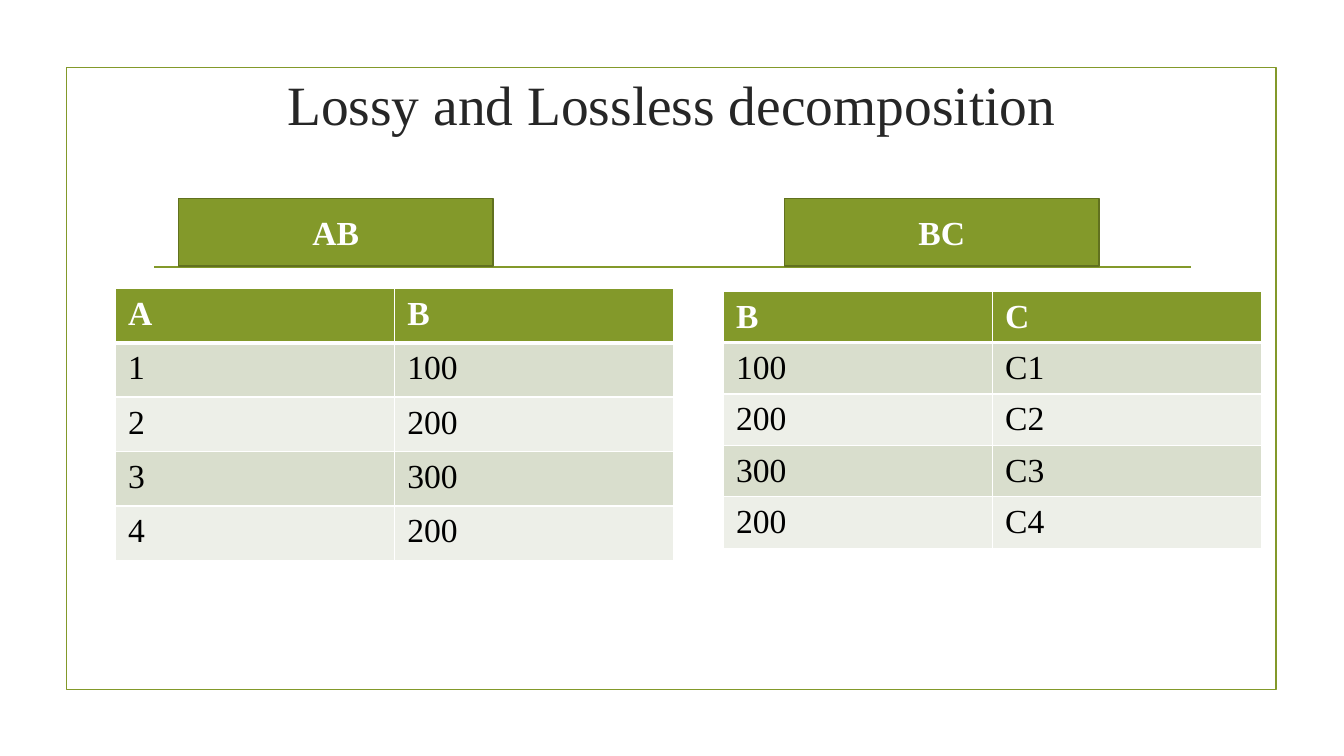
"""Build the slide on lossy and lossless decomposition."""
from dataclasses import dataclass

from lxml.etree import SubElement
from pptx import Presentation
from pptx.dml.color import RGBColor
from pptx.enum.shapes import MSO_CONNECTOR, MSO_SHAPE
from pptx.enum.text import MSO_ANCHOR, MSO_AUTO_SIZE, PP_ALIGN
from pptx.oxml.ns import qn
from pptx.slide import Slide
from pptx.table import _Cell
from pptx.text.text import TextFrame
from pptx.util import Inches, Pt


@dataclass(frozen=True)
class Theme:
    font: str = "Times New Roman"
    title_size: float = 39.6
    body_size: float = 24
    line_width: float = 1.25
    grid_width: float = 1
    header_rule: float = 3
    title_color: str = "262626"
    green: str = "83992A"
    dark_green: str = "61711F"
    white: str = "FFFFFF"
    black: str = "000000"
    bands: tuple[str, str] = ("D9DECD", "EDEFE8")


@dataclass(frozen=True)
class Relation:
    name: str
    label_left: float
    left: float
    top: float
    column_width: float
    header_height: float
    row_height: float
    rows: list[tuple[str, str]]


THEME = Theme()
RELATIONS = [
    Relation("AB", 1.77, 1.14, 2.86, 2.77, 0.54, 0.54,
             [("A", "B"), ("1", "100"), ("2", "200"), ("3", "300"), ("4", "200")]),
    Relation("BC", 7.78, 7.17, 2.89, 2.67, 0.5, 0.51,
             [("B", "C"), ("100", "C1"), ("200", "C2"), ("300", "C3"), ("200", "C4")]),
]


def rgb(color: str) -> RGBColor:
    return RGBColor.from_string(color)


def write(frame: TextFrame, text: str, color: str, size: float = THEME.body_size,
          bold: bool = False, align: PP_ALIGN = PP_ALIGN.LEFT) -> None:
    frame.text = text
    frame.word_wrap = True
    paragraph = frame.paragraphs[0]
    paragraph.alignment = align
    font = paragraph.runs[0].font
    font.name, font.size, font.bold = THEME.font, Pt(size), bold
    font.color.rgb = rgb(color)


def add_title(slide: Slide, text: str) -> None:
    title = slide.shapes.title
    title.left, title.top = Inches(0.65), Inches(0.47)
    title.width, title.height = Inches(12.02), Inches(1.11)
    write(title.text_frame, text, THEME.title_color, THEME.title_size, align=PP_ALIGN.CENTER)
    title.text_frame.auto_size = MSO_AUTO_SIZE.NONE
    title.text_frame.vertical_anchor = MSO_ANCHOR.MIDDLE


def add_frame(slide: Slide) -> None:
    frame = slide.shapes.add_shape(
        MSO_SHAPE.RECTANGLE, Inches(0.66), Inches(0.67), Inches(12), Inches(6.17))
    frame.shadow.inherit = False
    frame.fill.background()
    frame.line.color.rgb = rgb(THEME.green)
    frame.line.width = Pt(THEME.line_width)


def add_divider(slide: Slide) -> None:
    divider = slide.shapes.add_connector(
        MSO_CONNECTOR.STRAIGHT, Inches(1.53), Inches(2.65), Inches(11.81), Inches(2.65))
    divider.line.color.rgb = rgb(THEME.green)
    divider.line.width = Pt(THEME.line_width)
    SubElement(divider._element.spPr, qn("a:effectLst"))


def add_label(slide: Slide, relation: Relation) -> None:
    label = slide.shapes.add_shape(
        MSO_SHAPE.RECTANGLE, Inches(relation.label_left), Inches(1.97), Inches(3.12), Inches(0.67))
    label.shadow.inherit = False
    label.fill.solid()
    label.fill.fore_color.rgb = rgb(THEME.green)
    label.line.color.rgb = rgb(THEME.dark_green)
    label.line.width = Pt(THEME.line_width)
    write(label.text_frame, relation.name, THEME.white, bold=True, align=PP_ALIGN.CENTER)
    label.text_frame.vertical_anchor = MSO_ANCHOR.MIDDLE


def set_borders(cell: _Cell, top: float, bottom: float) -> None:
    widths = {"L": THEME.grid_width, "R": THEME.grid_width, "T": top, "B": bottom}
    properties = cell._tc.get_or_add_tcPr()
    for side, width in widths.items():
        border = SubElement(properties, qn(f"a:ln{side}"), w=str(Pt(width)))
        fill = SubElement(border, qn("a:solidFill"))
        SubElement(fill, qn("a:srgbClr"), val=THEME.white)


def style_cell(cell: _Cell, text: str, row: int) -> None:
    header = row == 0
    cell.margin_left = cell.margin_right = Inches(0.13)
    cell.margin_top = cell.margin_bottom = Inches(0.07)
    set_borders(cell, THEME.header_rule if row == 1 else THEME.grid_width,
                THEME.header_rule if header else THEME.grid_width)
    cell.fill.solid()
    cell.fill.fore_color.rgb = rgb(THEME.green if header else THEME.bands[(row - 1) % 2])
    write(cell.text_frame, text, THEME.white if header else THEME.black, bold=header)


def add_relation_table(slide: Slide, relation: Relation) -> None:
    heights = [relation.header_height] + [relation.row_height] * (len(relation.rows) - 1)
    columns = len(relation.rows[0])
    table = slide.shapes.add_table(
        len(heights), columns, Inches(relation.left), Inches(relation.top),
        Inches(relation.column_width * columns), Inches(sum(heights))).table
    for column in table.columns:
        column.width = Inches(relation.column_width)
    for row, (values, height) in enumerate(zip(relation.rows, heights)):
        table.rows[row].height = Inches(height)
        for column, value in enumerate(values):
            style_cell(table.cell(row, column), value, row)


def main() -> None:
    presentation = Presentation()
    presentation.slide_width, presentation.slide_height = Inches(13.33), Inches(7.5)
    slide = presentation.slides.add_slide(presentation.slide_layouts.get_by_name("Title Only"))
    add_frame(slide)
    add_divider(slide)
    add_title(slide, "Lossy and Lossless decomposition")
    for relation in RELATIONS:
        add_label(slide, relation)
        add_relation_table(slide, relation)
    presentation.save("out.pptx")


if __name__ == "__main__":
    main()
